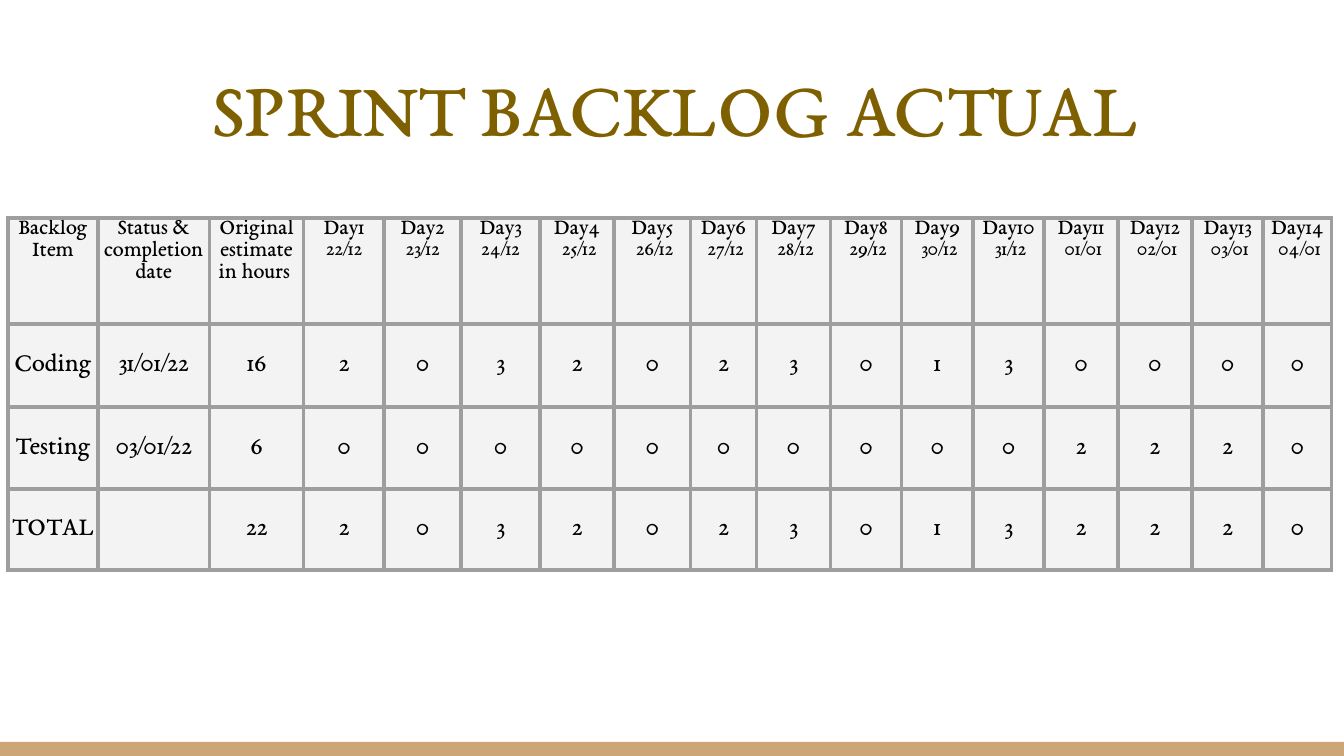
from dataclasses import dataclass

from lxml import etree
from pptx import Presentation
from pptx.dml.color import RGBColor
from pptx.enum.shapes import MSO_SHAPE
from pptx.enum.text import MSO_ANCHOR, PP_ALIGN
from pptx.oxml.ns import qn
from pptx.util import Inches, Pt

RECT = MSO_SHAPE.RECTANGLE
TOP, MIDDLE = MSO_ANCHOR.TOP, MSO_ANCHOR.MIDDLE
CENTER = PP_ALIGN.CENTER


@dataclass(frozen=True)
class Theme:
    font: str = "EB Garamond"
    gold: str = "7F6000"
    tan: str = "CCA677"
    ink: str = "000000"
    fill: str = "F3F3F3"
    edge: str = "9E9E9E"
    title: int = 42
    body: int = 14
    head: int = 12
    date: int = 11
    line: float = 2.25


theme = Theme()


def style(para, size, color):
    para.alignment = CENTER
    for run in para.runs:
        run.font.name = theme.font
        run.font.size = Pt(size)
        run.font.bold = False
        run.font.color.rgb = RGBColor.from_string(color)


def frame(cell):
    """Draw the cell's four borders, placed before its fill as the schema asks."""
    props = cell._tc.get_or_add_tcPr()
    for spot, side in enumerate(("lnL", "lnR", "lnT", "lnB")):
        line = etree.Element(qn(f"a:{side}"), w=str(Pt(theme.line)))
        solid = etree.SubElement(line, qn("a:solidFill"))
        etree.SubElement(solid, qn("a:srgbClr"), val=theme.edge)
        props.insert(spot, line)


# A 16:9 slide
prs = Presentation()
prs.slide_width, prs.slide_height = Inches(10), Inches(10 * 9 / 16)
slide = prs.slides.add_slide(prs.slide_layouts[5])

# Footer band
band = slide.shapes.add_shape(RECT, 0, Inches(5.52), Inches(10), Inches(0.11))
band.shadow.inherit = False
band.fill.solid()
band.fill.fore_color.rgb = RGBColor.from_string(theme.tan)
band.line.fill.background()

# Title
title = slide.shapes.title
title.left, title.top = 0, Inches(0.33)
title.width, title.height = Inches(10.05), Inches(0.91)
text = title.text_frame
text.text = "SPRINT BACKLOG ACTUAL"
text.vertical_anchor = TOP
text.margin_left = text.margin_right = Inches(0.1)
text.margin_top = text.margin_bottom = Inches(0.1)
style(text.paragraphs[0], theme.title, theme.gold)

# Backlog data
dates = ["22/12", "23/12", "24/12", " 25/12", " 26/12", " 27/12", " 28/12",
         " 29/12", " 30/12", " 31/12", " 01/01", " 02/01", " 03/01", " 04/01"]
coding = [16, 2, 0, 3, 2, 0, 2, 3, 0, 1, 3, 0, 0, 0, 0]
testing = [6, 0, 0, 0, 0, 0, 0, 0, 0, 0, 0, 2, 2, 2, 0]
total = [a + b for a, b in zip(coding, testing)]
heads = ["Backlog Item", "Status & completion date", "Original estimate in hours "]
heads += [f"Day{day}\n{date}" for day, date in enumerate(dates, 1)]
rows = [
    heads,
    ["Coding", "31/01/22", *coding],
    ["Testing", "03/01/22", *testing],
    ["TOTAL", "", *total],
]
widths = [0.67, 0.83, 0.7, 0.6, 0.57, 0.59, 0.55, 0.57, 0.49,
          0.55, 0.53, 0.53, 0.53, 0.55, 0.55, 0.53, 0.51]
heights = [0.79, 0.62, 0.61, 0.6]

# Backlog table
table = slide.shapes.add_table(
    len(rows), len(widths), Inches(0.06), Inches(1.62),
    Inches(sum(widths)), Inches(sum(heights))).table
for col, width in zip(table.columns, widths):
    col.width = Inches(width)
for row, height in zip(table.rows, heights):
    row.height = Inches(height)

for r, row in enumerate(rows):
    for c, value in enumerate(row):
        cell = table.cell(r, c)
        cell.margin_left = cell.margin_right = 0
        cell.margin_top = cell.margin_bottom = 0
        cell.vertical_anchor = MIDDLE if r else TOP
        cell.fill.solid()
        cell.fill.fore_color.rgb = RGBColor.from_string(theme.fill)
        frame(cell)
        cell.text_frame.text = str(value)
        for p, para in enumerate(cell.text_frame.paragraphs):
            size = theme.body if r else theme.date if p else theme.head
            style(para, size, theme.ink)

prs.save("out.pptx")
